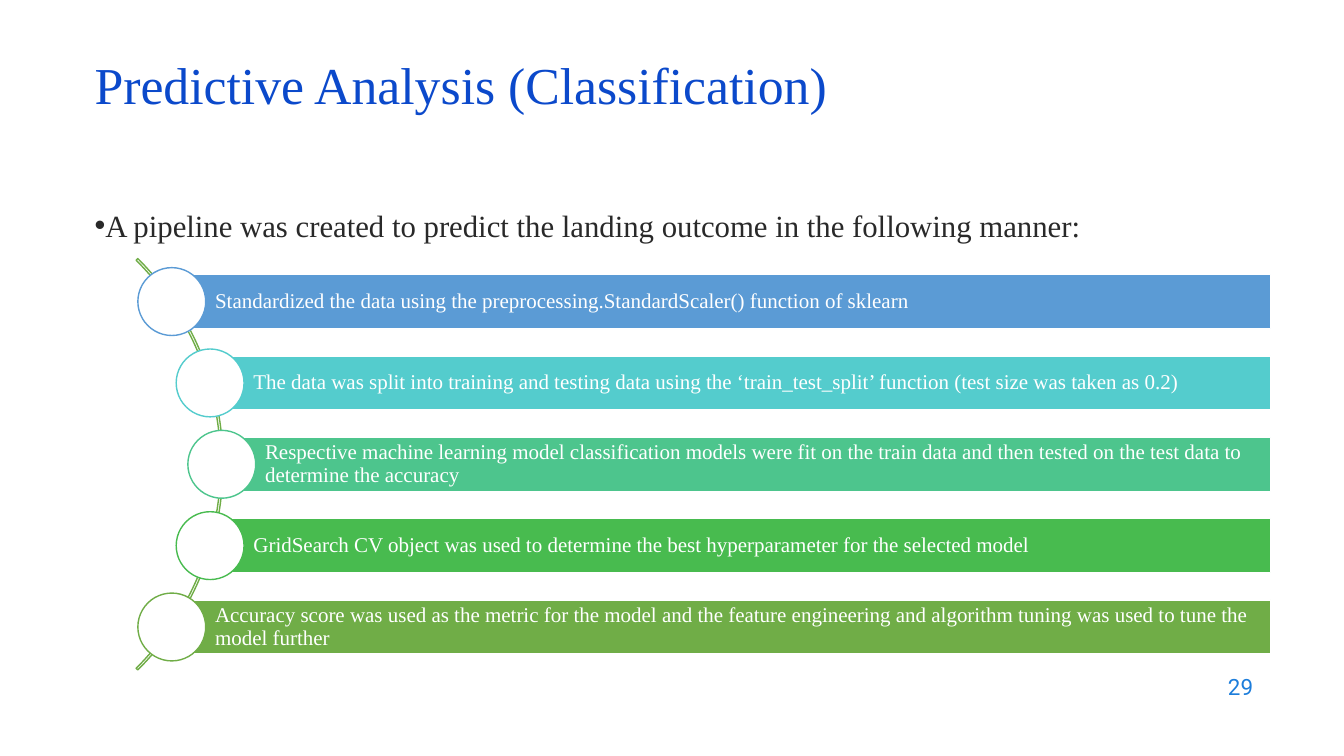
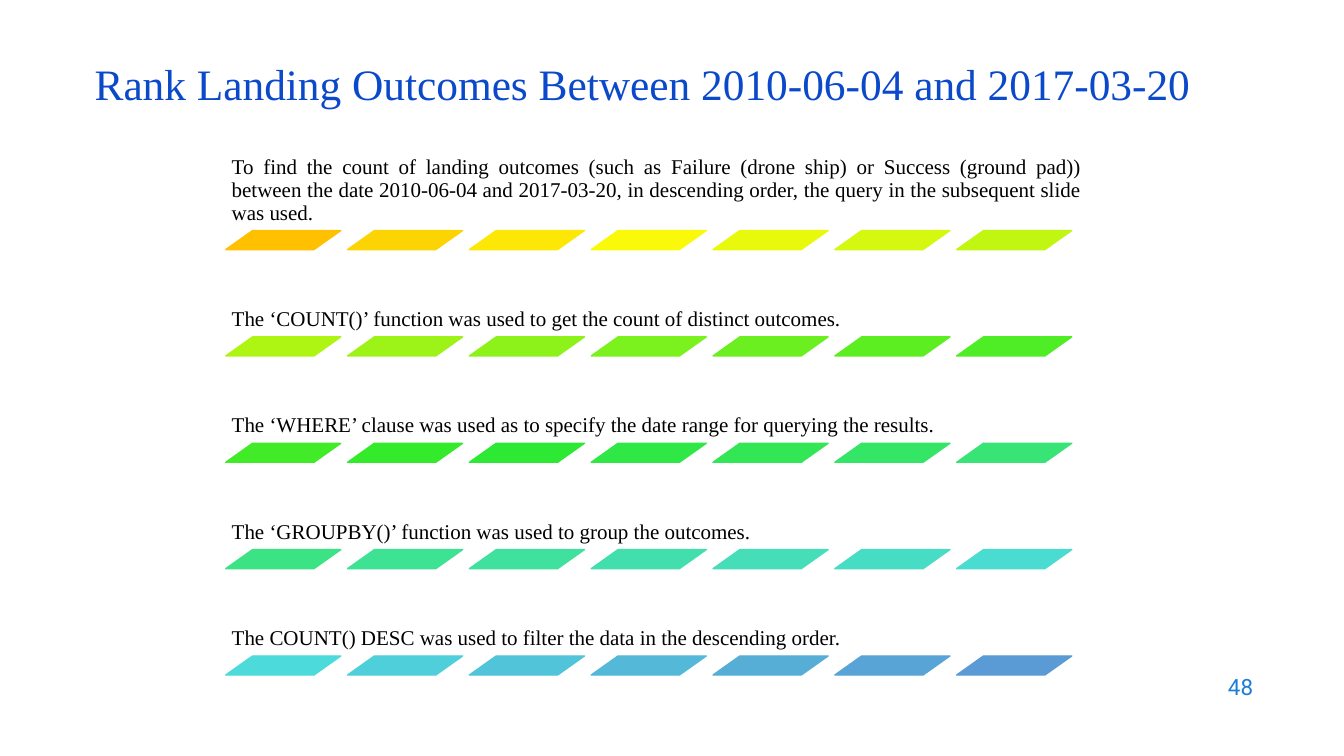
import colorsys
import math

from lxml import etree
from pptx import Presentation
from pptx.dml.color import RGBColor
from pptx.enum.shapes import MSO_SHAPE
from pptx.enum.text import MSO_ANCHOR, MSO_AUTO_SIZE, PP_ALIGN
from pptx.oxml.ns import qn
from pptx.util import Cm, Pt

# Enum members
ARC, BAR, CIRCLE = MSO_SHAPE.BLOCK_ARC, MSO_SHAPE.RECTANGLE, MSO_SHAPE.OVAL
SLANT = MSO_SHAPE.PARALLELOGRAM
MIDDLE, BOTTOM, TOP = MSO_ANCHOR.MIDDLE, MSO_ANCHOR.BOTTOM, MSO_ANCHOR.TOP
LEFT, RIGHT, JUSTIFY = PP_ALIGN.LEFT, PP_ALIGN.RIGHT, PP_ALIGN.JUSTIFY

# Shared style
SERIF, SANS = "Times New Roman", "Roboto"
TITLE_BLUE, NUMBER_BLUE = "0B49CB", "1C7DDB"
DARK, BLACK, WHITE = "292929", "000000", "FFFFFF"
LAYOUT_BODY, LAYOUT_TITLE = 1, 5

PIPELINE_STEPS = [
    ("5B9BD5", "Standardized the data using the preprocessing.StandardScaler() function of sklearn"),
    ("54CCCD", "The data was split into training and testing data using the "
               "‘train_test_split’ function (test size was taken as 0.2)"),
    ("4DC58D", "Respective machine learning model classification models were fit on the "
               "train data and then tested on the test data to determine the accuracy"),
    ("48BB4F", "GridSearch CV object was used to determine the best hyperparameter for the selected model"),
    ("70AD47", "Accuracy score was used as the metric for the model and the feature engineering "
               "and algorithm tuning was used to tune the model further"),
]
QUERY_STEPS = [
    "To find the count of landing outcomes (such as Failure (drone ship) or Success (ground pad)) "
    "between the date 2010-06-04 and 2017-03-20, in descending order, the query in the "
    "subsequent slide was used.",
    "The ‘COUNT()’ function was used to get the count of distinct outcomes.",
    "The ‘WHERE’ clause was used as to specify the date range for querying the results.",
    "The ‘GROUPBY()’ function was used to group the outcomes.",
    "The COUNT() DESC was used to filter the data in the descending order.",
]


def color(hex_string):
    return RGBColor.from_string(hex_string)


def place(shape, left, top, width, height):
    shape.left, shape.top = Cm(left), Cm(top)
    shape.width, shape.height = Cm(width), Cm(height)


def write(shape, text, size, text_color, font=SERIF, align=LEFT, anchor=MIDDLE,
          spacing=1.0, insets=None):
    """Put one formatted paragraph into a shape; insets are left, top, right, bottom in cm."""
    frame = shape.text_frame
    frame.word_wrap = True
    frame.auto_size = MSO_AUTO_SIZE.NONE
    frame.vertical_anchor = anchor
    if insets:
        (frame.margin_left, frame.margin_top,
         frame.margin_right, frame.margin_bottom) = map(Cm, insets)
    paragraph = frame.paragraphs[0]
    paragraph.alignment = align
    paragraph.line_spacing = spacing
    paragraph.space_before = Pt(0)
    run = paragraph.add_run()
    run.text = text
    run.font.name, run.font.size = font, Pt(size)
    run.font.color.rgb = color(text_color)
    return paragraph


def add_textbox(slide, box, text, size, text_color, **style):
    shape = slide.shapes.add_textbox(*map(Cm, box))
    write(shape, text, size, text_color, **style)


def add_figure(slide, kind, box, fill, line):
    shape = slide.shapes.add_shape(kind, *map(Cm, box))
    shape.shadow.inherit = False
    if fill:
        shape.fill.solid()
        shape.fill.fore_color.rgb = color(fill)
    else:
        shape.fill.background()
    shape.line.color.rgb = color(line)
    shape.line.width = Pt(1)
    return shape


def add_slide(presentation, layout, title, title_size, title_spacing, number):
    slide = presentation.slides.add_slide(presentation.slide_layouts[layout])
    place(slide.shapes.title, 2.13, 1.5, 29.21, 1.52)
    write(slide.shapes.title, title, title_size, TITLE_BLUE, spacing=title_spacing)
    add_textbox(slide, (24.21, 16.74, 7.62, 1.12), number, 16, NUMBER_BLUE,
                font=SANS, align=RIGHT)
    return slide


def add_lead(slide, text):
    """Fill the body placeholder with one bullet set directly before its text."""
    body = slide.placeholders[1]
    place(body, 2.13, 5.08, 27.71, 1.52)
    paragraph = write(body, text, 22, DARK, anchor=TOP)
    properties = paragraph._p.get_or_add_pPr()
    properties.set("marL", "0")
    properties.set("indent", "0")
    etree.SubElement(properties, qn("a:buFont")).set("typeface", "Arial")
    etree.SubElement(properties, qn("a:buChar")).set("char", "•")


def add_pipeline(slide, steps):
    """Bars whose circles sit on an arc."""
    center_x, center_y, diameter = -1.71, 11.7, 14.66
    track, pitch, circle, bar_height, bar_right = 7.3, 2.05, 1.71, 1.36, 32.02
    arc = add_figure(slide, ARC, (center_x - diameter / 2, center_y - diameter / 2,
                                  diameter, diameter), None, steps[-1][0])
    for index, value in enumerate((189, 27, 0.004)):
        arc.adjustments[index] = value
    for index, (accent, text) in enumerate(steps):
        offset = (index - (len(steps) - 1) / 2) * pitch
        x = center_x + math.sqrt(track ** 2 - offset ** 2)
        y = center_y + offset
        bar = add_figure(slide, BAR, (x, y - bar_height / 2, bar_right - x, bar_height),
                         accent, WHITE)
        write(bar, text, 15, WHITE, spacing=0.9, insets=(1.09, 0.1, 0.1, 0.1))
        add_figure(slide, CIRCLE, (x - circle / 2, y - circle / 2, circle, circle),
                   WHITE, accent)


def blend(start, end, share):
    """Mix two colours along hue, lightness and saturation."""
    first, last = (colorsys.rgb_to_hls(*(part / 255 for part in color(value)))
                   for value in (start, end))
    mixed = colorsys.hls_to_rgb(*(a + (b - a) * share for a, b in zip(first, last)))
    return "".join(f"{round(part * 255):02X}" for part in mixed)


def add_query_steps(slide, steps):
    """Text lines, each underlined by a row of slanted tiles in a running gradient."""
    left, top, row_pitch, text_height = 5.69, 3.84, 2.68, 1.97
    tiles, tile_pitch, tile_width, tile_height = 7, 3.07, 2.9, 0.48
    last_tile = len(steps) * tiles - 1
    for row, text in enumerate(steps):
        y = top + row * row_pitch
        add_textbox(slide, (left, y, 21.72, text_height), text, 15, BLACK,
                    align=LEFT if row else JUSTIFY, anchor=BOTTOM, spacing=0.9,
                    insets=(0.15,) * 4)
        for column in range(tiles):
            shade = blend("FFC000", "5B9BD5", (row * tiles + column) / last_tile)
            tile = add_figure(slide, SLANT, (left + column * tile_pitch, y + text_height,
                                             tile_width, tile_height), shade, shade)
            tile.adjustments[0] = 1.41


def main():
    presentation = Presentation()
    presentation.slide_width, presentation.slide_height = Cm(33.87), Cm(19.05)

    # Classification pipeline
    slide = add_slide(presentation, LAYOUT_BODY, "Predictive Analysis (Classification)",
                      37, 0.8, "29")
    add_lead(slide, "A pipeline was created to predict the landing outcome in the following manner:")
    add_pipeline(slide, PIPELINE_STEPS)

    # Landing outcome query
    slide = add_slide(presentation, LAYOUT_TITLE,
                      "Rank Landing Outcomes Between 2010-06-04 and 2017-03-20", 31, 0.7, "48")
    add_query_steps(slide, QUERY_STEPS)

    presentation.save("out.pptx")


if __name__ == "__main__":
    main()
